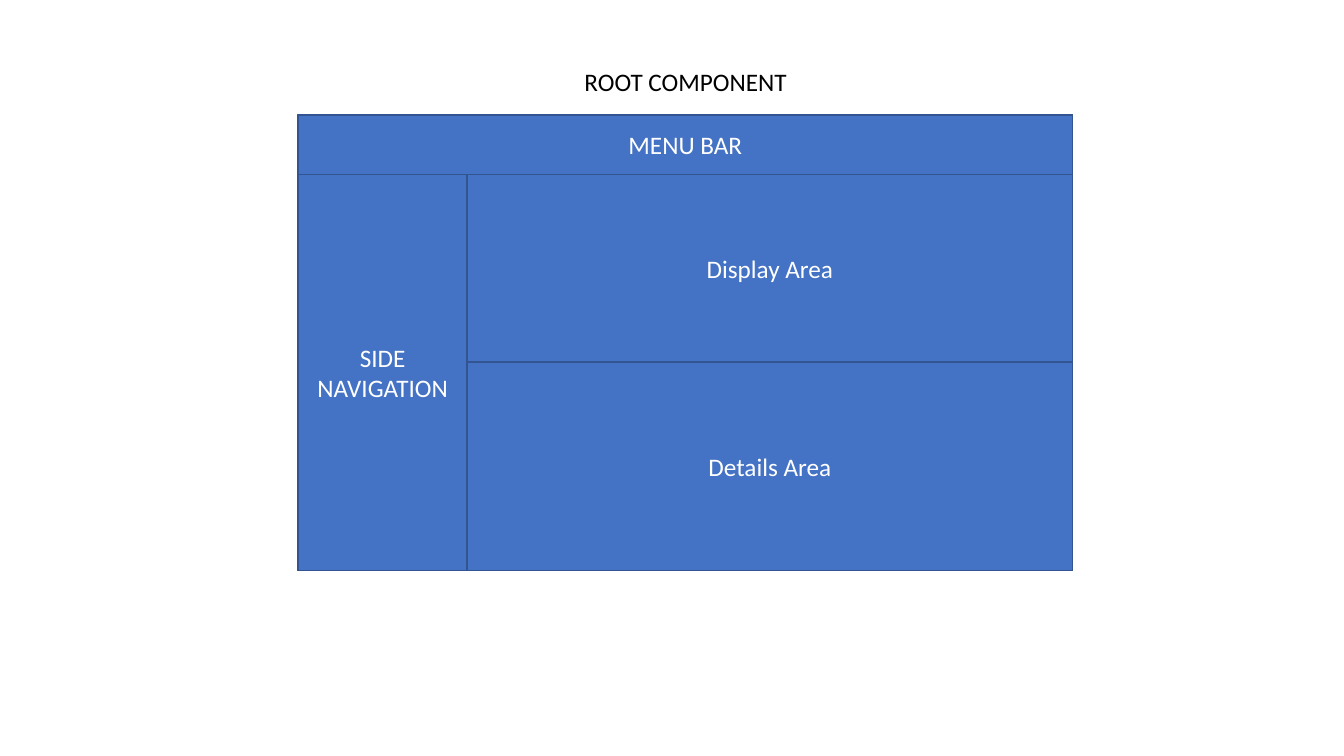
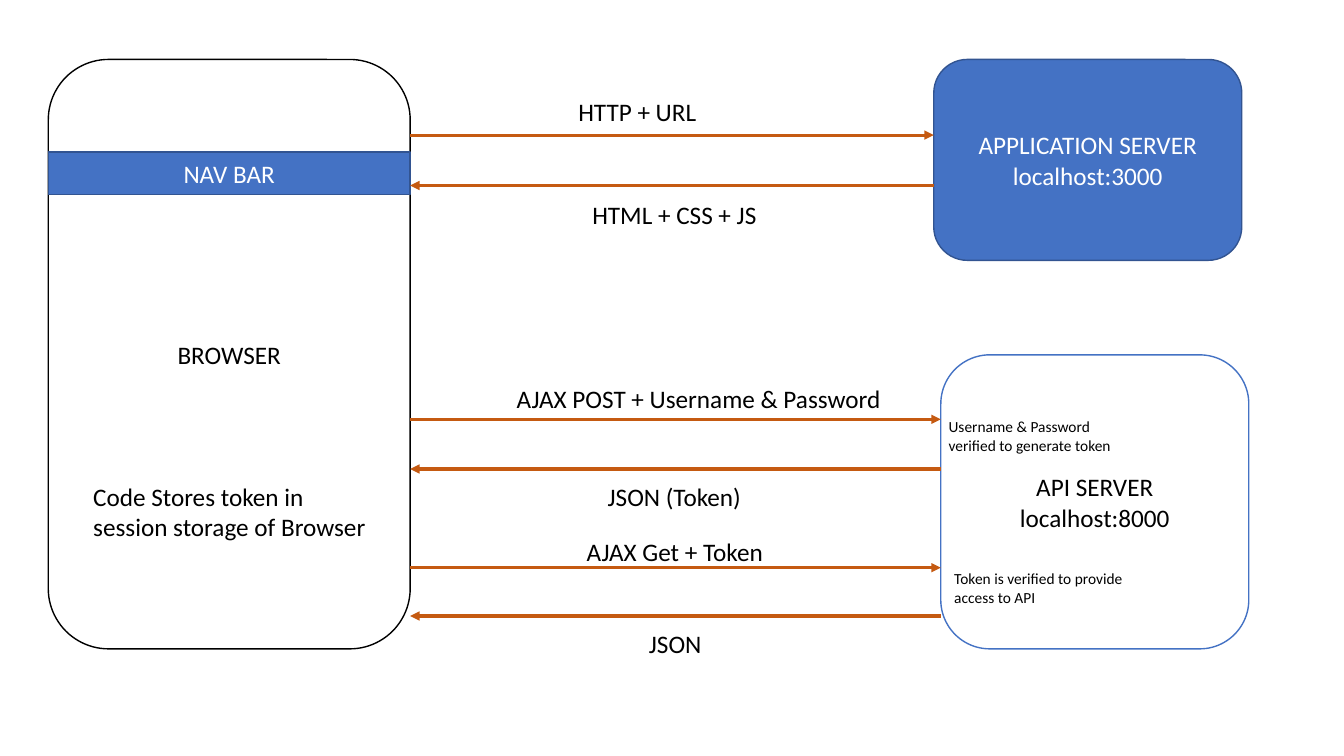
from pptx import Presentation
from pptx.dml.color import RGBColor
from pptx.enum.shapes import MSO_CONNECTOR, MSO_SHAPE
from pptx.enum.text import MSO_ANCHOR, MSO_AUTO_SIZE, PP_ALIGN
from pptx.oxml.ns import qn
from pptx.util import Pt
from lxml.etree import SubElement

COLORS = {
    "blue": "4472C4",
    "edge": "325491",
    "orange": "C55A11",
    "white": "FFFFFF",
    "black": "000000",
}
FONT = "Calibri"


def write(box, text, size=18, color="black", align=PP_ALIGN.LEFT,
          anchor=MSO_ANCHOR.TOP, wrap=False):
    frame = box.text_frame
    frame.word_wrap = wrap
    frame.auto_size = MSO_AUTO_SIZE.NONE if wrap else MSO_AUTO_SIZE.SHAPE_TO_FIT_TEXT
    frame.vertical_anchor = anchor
    for index, line in enumerate(text.split("\n")):
        para = frame.add_paragraph() if index else frame.paragraphs[0]
        para.alignment = align
        para.line_spacing = 1.0
        span = para.add_run()
        span.text = line
        span.font.size = Pt(size)
        span.font.name = FONT
        span.font.color.rgb = RGBColor.from_string(COLORS[color])


def add_panel(page, place, text="", kind=MSO_SHAPE.RECTANGLE, fill="blue",
              edge="edge", color="white"):
    box = page.shapes.add_shape(kind, *map(Pt, place))
    box.shadow.inherit = False
    box.fill.solid()
    box.fill.fore_color.rgb = RGBColor.from_string(COLORS[fill])
    box.line.color.rgb = RGBColor.from_string(COLORS[edge])
    box.line.width = Pt(1)
    if text:
        write(box, text, color=color, align=PP_ALIGN.CENTER,
              anchor=MSO_ANCHOR.MIDDLE, wrap=True)


deck = Presentation()
deck.slide_width, deck.slide_height = Pt(960), Pt(540)
title_only, blank = deck.slide_layouts[5], deck.slide_layouts[6]

page = deck.slides.add_slide(title_only)
title = page.shapes.title
title.left, title.top, title.width, title.height = map(Pt, (409.5, 43.5, 160.5, 29))
write(title, "ROOT COMPONENT", align=PP_ALIGN.CENTER)

left, top, right, bottom = 213, 82, 766, 407.5
menu_bottom, side_right, display_bottom = 124.5, 333.75, 258.75
root_panels = [
    (left, top, right, bottom, ""),
    (left, top, right, menu_bottom, "MENU BAR"),
    (left, menu_bottom, side_right, bottom, "SIDE NAVIGATION"),
    (side_right, menu_bottom, right, display_bottom, "Display Area"),
    (side_right, display_bottom, right, bottom, "Details Area"),
]
for x1, y1, x2, y2, text in root_panels:
    add_panel(page, (x1, y1, x2 - x1, y2 - y1), text)

page = deck.slides.add_slide(blank)
browser_left, browser_width = 34.5, 258.5
browser_right = browser_left + browser_width
app_left, api_left, server_width = 667, 672, 220
rounded = MSO_SHAPE.ROUNDED_RECTANGLE

add_panel(page, (app_left, 42.5, server_width, 143.5),
          "APPLICATION SERVER\nlocalhost:3000", kind=rounded)
add_panel(page, (browser_left, 42.5, browser_width, 421), "BROWSER",
          kind=rounded, fill="white", edge="black", color="black")
add_panel(page, (browser_left, 108.5, browser_width, 30.5), "NAV BAR")
add_panel(page, (api_left, 253.5, server_width, 210),
          "API SERVER\nlocalhost:8000", kind=rounded, fill="white",
          edge="blue", color="black")

requests = [
    (app_left, 96.5, 132.5),
    (api_left, 299.5, 335),
    (api_left, 405.5, 440),
]
for server_left, request_y, reply_y in requests:
    for start, end, y in ((browser_right, server_left, request_y),
                          (server_left, browser_right, reply_y)):
        arrow = page.shapes.add_connector(
            MSO_CONNECTOR.STRAIGHT, Pt(start), Pt(y), Pt(end), Pt(y))
        arrow.line.color.rgb = RGBColor.from_string(COLORS["orange"])
        arrow.line.width = Pt(2.25)
        SubElement(arrow.line._get_or_add_ln(), qn("a:tailEnd"), type="triangle")
        SubElement(arrow._element.spPr, qn("a:effectLst"))

labels = [
    ("HTTP + URL", 406, 65.5, 100, 29, 18),
    ("HTML + CSS + JS", 416, 139, 133, 29, 18),
    ("AJAX POST + Username & Password", 362, 270, 277, 29, 18),
    ("JSON (Token)", 427, 340, 111, 29, 18),
    ("AJAX Get + Token", 412, 379.5, 142, 29, 18),
    ("JSON", 456.5, 445, 52.5, 29, 18),
    ("Code Stores token in\nsession storage of Browser", 59.5, 340, 211, 51, 18),
    ("Username & Password\nverified to generate token", 670.5, 294.5, 132.5, 34, 11),
    ("Token is verified to provide\naccess to API", 674.5, 403, 139.5, 34, 11),
]
for text, x, y, width, height, size in labels:
    box = page.shapes.add_textbox(Pt(x), Pt(y), Pt(width), Pt(height))
    write(box, text, size=size)

deck.save("out.pptx")
